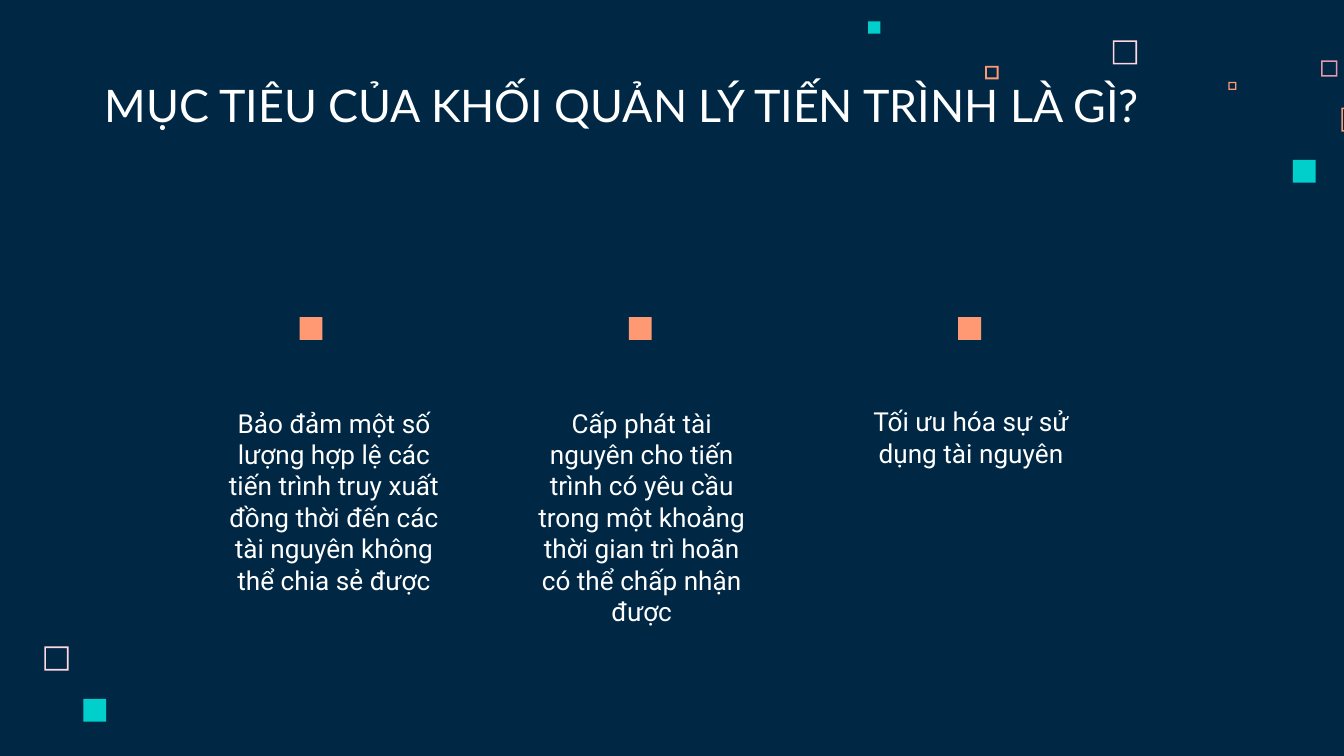
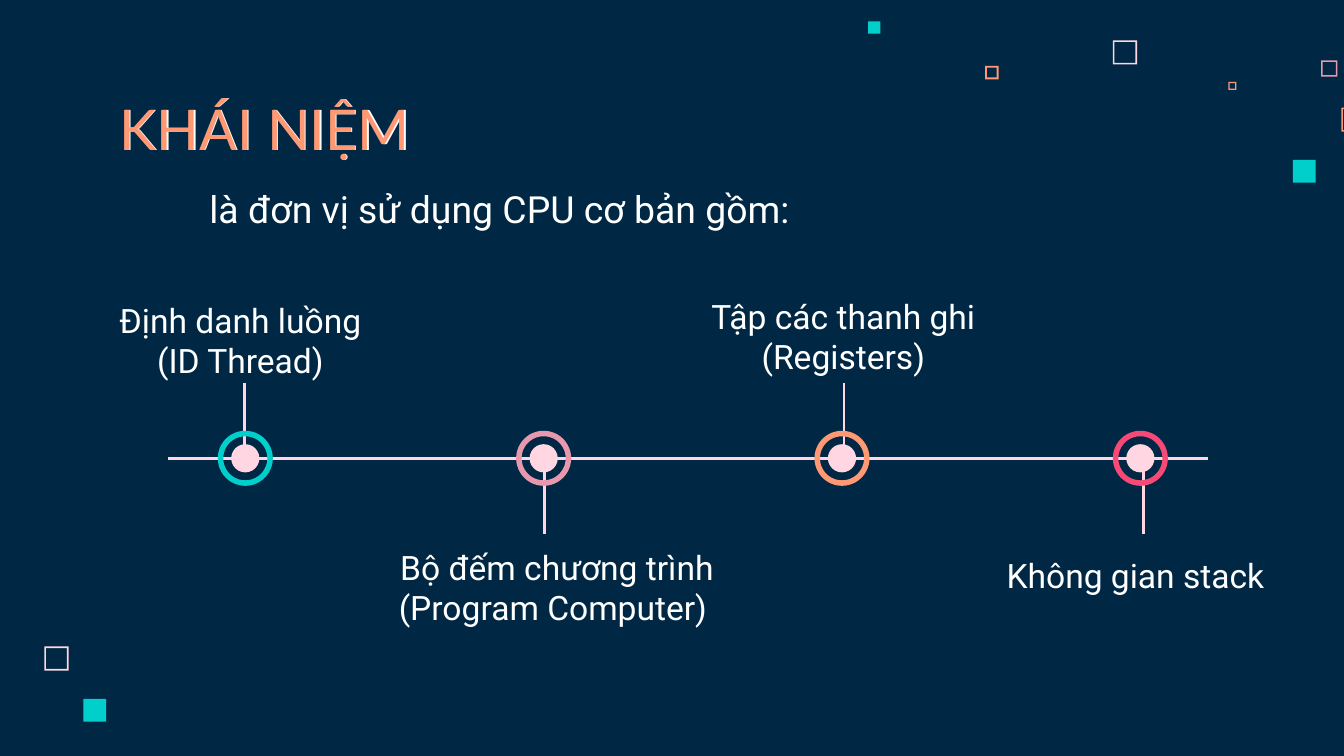
import pptx
import pptx.util
import pptx.dml.color
import pptx.enum.shapes
import pptx.enum.text
import pptx.oxml.ns
from lxml import etree

Inches = pptx.util.Inches
Shape = pptx.enum.shapes.MSO_SHAPE
Align = pptx.enum.text.PP_ALIGN
Anchor = pptx.enum.text.MSO_ANCHOR
AutoSize = pptx.enum.text.MSO_AUTO_SIZE

COLORS = {
    "navy": "002845",
    "white": "FFFFFF",
    "blush": "FFD6E1",
    "rose": "E898AC",
    "orange": "FF9973",
    "teal": "00CFCC",
    "crimson": "F64975",
}
TITLE_FONT = "Lato"
BODY_FONT = "Roboto"

HOLLOW_SQUARES = [
    (8.28, 0.3, 0.18, "blush", 0.07),
    (9.83, 0.45, 0.12, "rose", 0.09),
    (9.14, 0.61, 0.06, "orange", 0.17),
    (9.98, 0.8, 0.18, "orange", 0.07),
    (7.33, 0.49, 0.1, "orange", 0.13),
    (0.33, 4.81, 0.18, "blush", 0.07),
]
SOLID_SQUARES = [
    (9.62, 1.19, 0.17, "teal"),
    (6.46, 0.16, 0.09, "teal"),
    (0.62, 5.2, 0.17, "teal"),
]

GOALS_TITLE = "MỤC TIÊU CỦA KHỐI QUẢN LÝ TIẾN TRÌNH LÀ GÌ?"
GOALS = [
    ("Bảo đảm một số lượng hợp lệ các tiến trình truy xuất đồng thời đến các tài nguyên không thể chia sẻ được",
     (1.59, 2.98, 1.79, 1.51)),
    ("Cấp phát tài nguyên cho tiến trình có yêu cầu trong một khoảng thời gian trì hoãn có thể chấp nhận được",
     (3.88, 2.98, 1.79, 1.75)),
    ("Tối ưu hóa sự sử dụng tài nguyên", (6.33, 2.97, 1.79, 0.57)),
]
MARKER_LEFT, MARKER_STEP, MARKER_TOP, MARKER_SIZE = 2.23, 2.45, 2.36, 0.17

CONCEPT_TITLE = "KHÁI NIỆM"
CONCEPT_LEAD = "là đơn vị sử dụng CPU cơ bản gồm:"
THREAD_PARTS = [
    ("Định danh luồng \n(ID Thread) ", "teal", "above", (0.61, 2.22, 2.42, 0.71)),
    ("Bộ đếm chương trình (Program Computer) ", "rose", "below", (2.82, 3.97, 2.65, 0.71)),
    ("Tập các thanh ghi (Registers)", "orange", "above", (5.12, 2.19, 2.31, 0.71)),
    ("Không gian stack ", "crimson", "below", (7.37, 4.03, 2.22, 0.71)),
]
AXIS_Y, AXIS_START, AXIS_END = 3.41, 1.25, 8.99
DOT_SIZE, RING_SIZE, RING_BORDER = 0.21, 0.41, 0.1
RING_LEFT, RING_STEP = 1.62, 2.22
STEM_X, STEM_STEP = 1.82, 2.23
STEMS = {"above": (2.85, 3.35), "below": (3.47, 3.97)}
ANCHORS = {"above": Anchor.BOTTOM, "below": Anchor.TOP}


def rgb(name):
    return pptx.dml.color.RGBColor.from_string(COLORS[name])


def place(shape, area):
    shape.left, shape.top, shape.width, shape.height = map(Inches, area)


def add_solid(shapes, kind, area, color, adjustment=None):
    shape = shapes.add_shape(kind, *map(Inches, area))
    shape.shadow.inherit = False
    shape.fill.solid()
    shape.fill.fore_color.rgb = rgb(color)
    shape.line.fill.background()
    if adjustment is not None:
        shape.adjustments[0] = adjustment
    return shape


def add_line(page, start, end):
    line = page.shapes.add_connector(
        pptx.enum.shapes.MSO_CONNECTOR.STRAIGHT, *map(Inches, start + end))
    line.line.color.rgb = rgb("blush")
    line.line.width = pptx.util.Pt(1.5)
    properties = line.element.find(pptx.oxml.ns.qn("p:spPr"))
    etree.SubElement(properties, pptx.oxml.ns.qn("a:effectLst"))


def write(box, area, text, size, font=BODY_FONT, color="white",
          align=Align.LEFT, anchor=Anchor.BOTTOM, margin=0.1):
    place(box, area)
    frame = box.text_frame
    frame.text = text
    frame.word_wrap = True
    frame.auto_size = AutoSize.NONE
    frame.vertical_anchor = anchor
    frame.margin_left = frame.margin_right = Inches(0.1)
    frame.margin_top = frame.margin_bottom = Inches(margin)
    for para in frame.paragraphs:
        if box.is_placeholder:
            properties = para._p.get_or_add_pPr()
            properties.set("marL", "0")
            properties.set("indent", "0")
            etree.SubElement(properties, pptx.oxml.ns.qn("a:buNone"))
            para.space_before = pptx.util.Pt(0)
        para.alignment = align
        for span in para.runs:
            span.font.name = font
            span.font.size = pptx.util.Pt(size)
            span.font.bold = False
            span.font.color.rgb = rgb(color)


def add_text(page, area, text, size, **style):
    box = page.shapes.add_textbox(*map(Inches, area))
    write(box, area, text, size, **style)
    return box


def style_master(deck, page):
    master = deck.slide_master
    master.background.fill.solid()
    master.background.fill.fore_color.rgb = rgb("navy")
    squares = [
        add_solid(page.shapes, Shape.FRAME, (left, top, size, size), color, border)
        for left, top, size, color, border in HOLLOW_SQUARES
    ] + [
        add_solid(page.shapes, Shape.RECTANGLE, (left, top, size, size), color)
        for left, top, size, color in SOLID_SQUARES
    ]
    for square in squares:
        master.element.cSld.spTree.append(square.element)


def build_goals(page):
    write(page.shapes.title, (0.68, 0.45, 8.93, 0.63), GOALS_TITLE, 24, font=TITLE_FONT)
    for index, (text, area) in enumerate(GOALS):
        left = MARKER_LEFT + index * MARKER_STEP
        add_solid(page.shapes, Shape.RECTANGLE,
                  (left, MARKER_TOP, MARKER_SIZE, MARKER_SIZE), "orange")
        box = add_text(page, area, text, 14, align=Align.CENTER,
                       anchor=Anchor.TOP, margin=0.05)
        box.text_frame.auto_size = AutoSize.SHAPE_TO_FIT_TEXT


def add_node(page, center, color):
    group = page.shapes.add_group_shape()
    for kind, size, fill, border in [(Shape.OVAL, DOT_SIZE, "blush", None),
                                     (Shape.DONUT, RING_SIZE, color, RING_BORDER)]:
        area = (center - size / 2, AXIS_Y - size / 2, size, size)
        add_solid(group.shapes, kind, area, fill, border)


def build_concept(page):
    title, *labels = page.placeholders
    write(title, (0.8, 0.67, 5.17, 0.63), CONCEPT_TITLE, 30, font=TITLE_FONT)
    add_line(page, (AXIS_START, AXIS_Y), (AXIS_END, AXIS_Y))
    for index, (label, part) in enumerate(zip(labels, THREAD_PARTS)):
        text, color, side, area = part
        stem = STEM_X + index * STEM_STEP
        top, bottom = STEMS[side]
        add_line(page, (stem, top), (stem, bottom))
        add_node(page, RING_LEFT + RING_SIZE / 2 + index * RING_STEP, color)
        write(label, area, text, 18, align=Align.CENTER, anchor=ANCHORS[side])
    add_text(page, (0.79, 0.67, 5.17, 0.63), CONCEPT_TITLE, 30,
             font=TITLE_FONT, color="orange")
    add_text(page, (1.46, 1.19, 5.17, 0.63), CONCEPT_LEAD, 20)


def main():
    deck = pptx.Presentation()
    deck.slide_width = Inches(10)
    deck.slide_height = deck.slide_width * 9 // 16
    goals = deck.slides.add_slide(deck.slide_layouts.get_by_name("Title Only"))
    style_master(deck, goals)
    build_goals(goals)
    build_concept(deck.slides.add_slide(deck.slide_layouts.get_by_name("Comparison")))
    deck.save("out.pptx")


if __name__ == "__main__":
    main()
